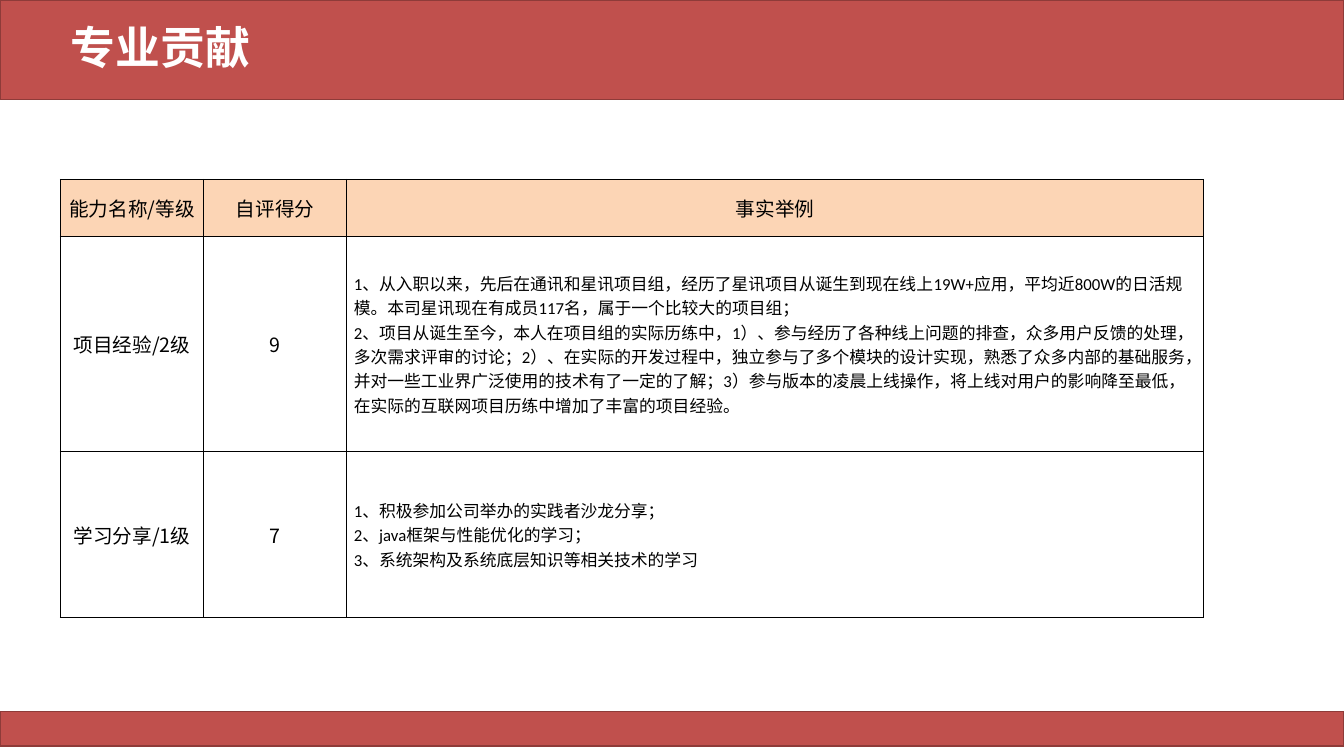
"""Build the professional contribution slide with its self-assessment table."""
from lxml.etree import SubElement
from pptx import Presentation
from pptx.dml.color import RGBColor
from pptx.enum.shapes import MSO_SHAPE
from pptx.enum.text import MSO_ANCHOR, PP_ALIGN
from pptx.oxml.ns import qn
from pptx.util import Inches, Pt

THEME = {
    "band": RGBColor.from_string("C0504D"),
    "band_edge": RGBColor.from_string("8E3B39"),
    "header": RGBColor.from_string("FCD5B5"),
    "white": RGBColor.from_string("FFFFFF"),
    "ink": RGBColor.from_string("000000"),
    "latin": "Calibri",
    "cjk": "Noto Sans CJK SC",
    "title": Pt(32),
    "label": Pt(14),
    "detail": Pt(12),
}
HEADINGS = ["能力名称/等级", "自评得分", "事实举例"]
EXPERIENCE = [
    "1、从入职以来，先后在通讯和星讯项目组，经历了星讯项目从诞生到现在线上19W+应用，"
    "平均近800W的日活规模。本司星讯现在有成员117名，属于一个比较大的项目组；",
    "2、项目从诞生至今，本人在项目组的实际历练中，1）、参与经历了各种线上问题的排查，"
    "众多用户反馈的处理，多次需求评审的讨论；2）、在实际的开发过程中，独立参与了多个模块的设计实现，"
    "熟悉了众多内部的基础服务，并对一些工业界广泛使用的技术有了一定的了解；"
    "3）参与版本的凌晨上线操作，将上线对用户的影响降至最低，"
    "在实际的互联网项目历练中增加了丰富的项目经验。",
]
SHARING = [
    "1、积极参加公司举办的实践者沙龙分享；",
    "2、java框架与性能优化的学习；",
    "3、系统架构及系统底层知识等相关技术的学习",
]
ROWS = [
    HEADINGS,
    ["项目经验/2级", "9", "\n".join(EXPERIENCE)],
    ["学习分享/1级", "7", "\n".join(SHARING)],
]
COLUMN_WIDTHS = [1.42, 1.42, 8.5]
ROW_HEIGHTS = [0.47, 2.13, 1.65]


def style_text(frame, align, face, size, color, bold=False):
    """Format every run of a text frame."""
    for paragraph in frame.paragraphs:
        paragraph.alignment = align
        for run in paragraph.runs:
            for name, value in {"name": face, "size": size, "bold": bold}.items():
                setattr(run.font, name, value)
            run.font.color.rgb = color
            SubElement(run.font._element, qn("a:ea"), typeface=THEME["cjk"])


def add_borders(cell):
    """Draw a one-point line on all four sides of a cell."""
    properties = cell._tc.get_or_add_tcPr()
    for side in ("lnL", "lnR", "lnT", "lnB"):
        line = SubElement(properties, qn(f"a:{side}"), w=str(Pt(1)))
        fill = SubElement(line, qn("a:solidFill"))
        SubElement(fill, qn("a:srgbClr"), val=str(THEME["ink"]))


deck = Presentation()
deck.slide_width, deck.slide_height = Inches(13.33), Inches(7.5)
slide = deck.slides.add_slide(deck.slide_layouts[5])

for top, height in [(0, 0.99), (7.06, 0.34)]:
    band = slide.shapes.add_shape(
        MSO_SHAPE.RECTANGLE, 0, Inches(top), deck.slide_width, Inches(height))
    band.shadow.inherit = False
    band.fill.solid()
    band.fill.fore_color.rgb = THEME["band"]
    band.line.color.rgb = THEME["band_edge"]
    band.line.width = Pt(1)

title = slide.shapes.title
slide.shapes._spTree.append(title._element)
for name, value in {"left": 0.6, "top": 0.2, "width": 11.5, "height": 0.59}.items():
    setattr(title, name, Inches(value))
title.text_frame.text = "专业贡献"
title.text_frame.vertical_anchor = MSO_ANCHOR.MIDDLE
title.text_frame.paragraphs[0].line_spacing = 0.9
style_text(title.text_frame, PP_ALIGN.LEFT, THEME["latin"], THEME["title"],
           THEME["white"], bold=True)

table = slide.shapes.add_table(
    len(ROWS), len(HEADINGS), Inches(0.6), Inches(1.78),
    Inches(sum(COLUMN_WIDTHS)), Inches(sum(ROW_HEIGHTS))).table
table.first_row = table.horz_banding = False
for column, width in zip(table.columns, COLUMN_WIDTHS):
    column.width = Inches(width)
for row, height in zip(table.rows, ROW_HEIGHTS):
    row.height = Inches(height)

for row_index, row in enumerate(ROWS):
    for column_index, content in enumerate(row):
        cell = table.cell(row_index, column_index)
        is_header = row_index == 0
        is_detail = not is_header and column_index == 2
        side_margin = Inches(0.07 if is_header or is_detail else 0)
        margins = {"margin_left": side_margin, "margin_right": side_margin,
                   "margin_top": 0, "margin_bottom": 0,
                   "vertical_anchor": MSO_ANCHOR.MIDDLE}
        for name, value in margins.items():
            setattr(cell, name, value)
        add_borders(cell)
        if is_header:
            cell.fill.solid()
            cell.fill.fore_color.rgb = THEME["header"]
        else:
            cell.fill.background()
        cell.text_frame.text = content
        style_text(cell.text_frame,
                   PP_ALIGN.LEFT if is_detail else PP_ALIGN.CENTER,
                   THEME["latin"] if is_detail else THEME["cjk"],
                   THEME["detail"] if is_detail else THEME["label"],
                   THEME["ink"])

deck.save("out.pptx")
